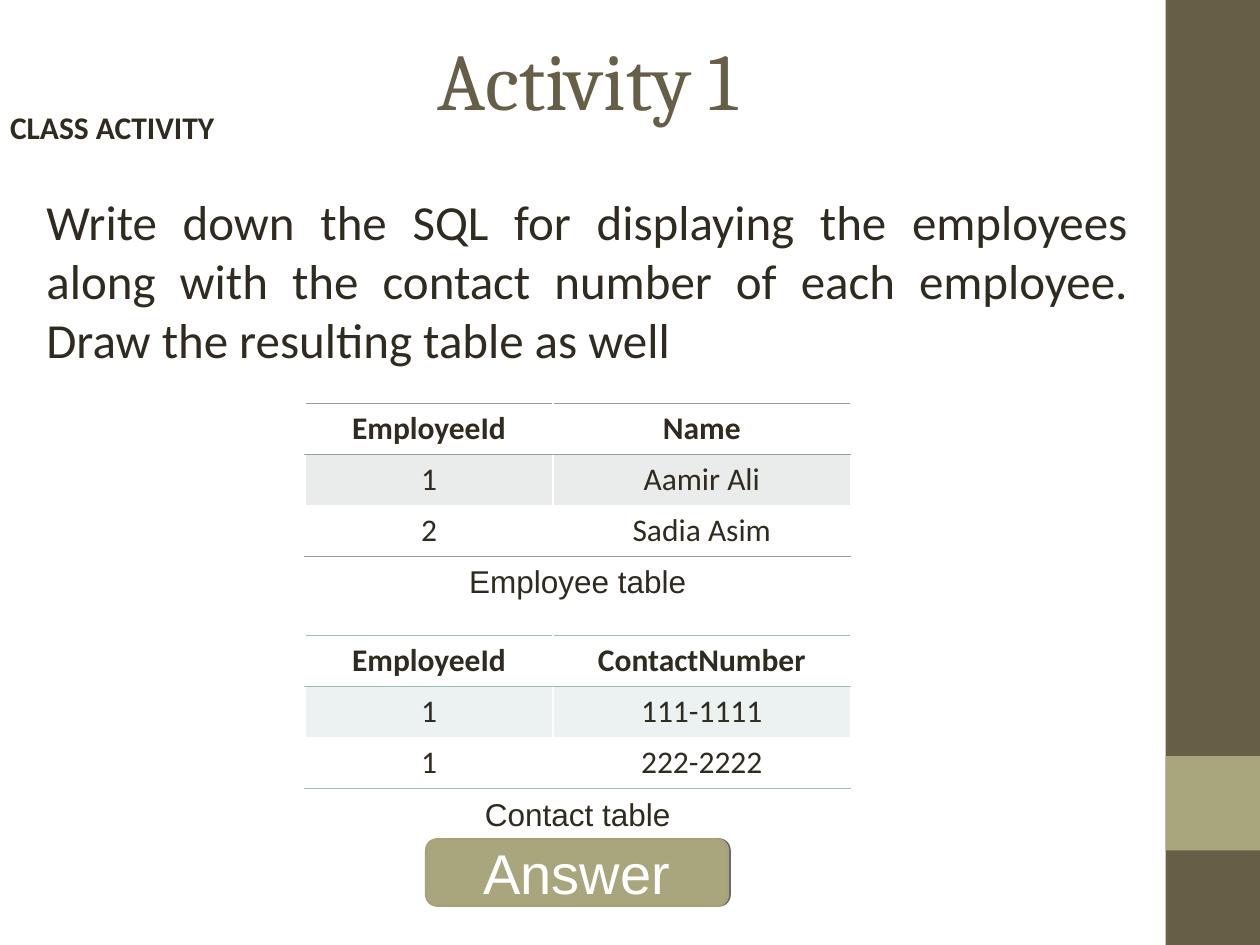
import lxml.etree
import pptx
import pptx.dml.color
import pptx.enum.shapes
import pptx.enum.text
import pptx.oxml.ns
import pptx.util
from pptx.util import Inches

RGBColor = pptx.dml.color.RGBColor
Shape = pptx.enum.shapes.MSO_SHAPE
Align = pptx.enum.text.PP_ALIGN
Anchor = pptx.enum.text.MSO_ANCHOR

BROWN = RGBColor(0x67, 0x5E, 0x47)
KHAKI = RGBColor(0xA9, 0xA5, 0x7C)
KHAKI_EDGE = RGBColor(0xA6, 0xA2, 0x78)
INK = RGBColor(0x2F, 0x2B, 0x20)
WHITE = RGBColor(0xFF, 0xFF, 0xFF)
BLACK = RGBColor(0, 0, 0)
SAGE = RGBColor(0x95, 0xA3, 0x9D)
TEAL = RGBColor(0x9C, 0xBE, 0xBD)


def add_child(parent, tag, **attributes):
    """Append a DrawingML element to parent and return it."""
    child = lxml.etree.SubElement(parent, pptx.oxml.ns.qn(tag))
    for name, value in attributes.items():
        child.set(name, str(value))
    return child


def add_color(parent, color, alpha=None):
    """Append an RGB colour, with an optional opacity in percent."""
    rgb = add_child(parent, "a:srgbClr", val=color)
    if alpha is not None:
        add_child(rgb, "a:alpha", val=alpha * 1000)


def style_text(paragraph, words, size, font, color, align, bold=False):
    """Write one paragraph in a single style."""
    paragraph.text = words
    paragraph.alignment = align
    paragraph.font.size = pptx.util.Pt(size)
    paragraph.font.name = font
    paragraph.font.color.rgb = color
    paragraph.font.bold = bold


def add_text(slide, box, words, size, font, color=INK, align=Align.CENTER, bold=False):
    """Add a wrapping text box and return its frame."""
    frame = slide.shapes.add_textbox(*map(Inches, box)).text_frame
    frame.word_wrap = True
    style_text(frame.paragraphs[0], words, size, font, color, align, bold)
    return frame


def add_block(slide, kind, box, color):
    """Add a filled shape without line or shadow."""
    block = slide.shapes.add_shape(kind, *map(Inches, box))
    block.fill.solid()
    block.fill.fore_color.rgb = color
    block.line.fill.background()
    block.shadow.inherit = False
    return block


def add_button(slide, box, words):
    """Add a rounded button with a thin hard shadow on its right."""
    button = add_block(slide, Shape.ROUNDED_RECTANGLE, box, KHAKI)
    button.line.color.rgb = KHAKI_EDGE
    button.line.width = pptx.util.Pt(1)
    effects = button._element.spPr.find(pptx.oxml.ns.qn("a:effectLst"))
    shadow = add_child(effects, "a:outerShdw", blurRad=0, dist=pptx.util.Pt(1), dir=0)
    add_color(shadow, BLACK, 60)
    button.text_frame.vertical_anchor = Anchor.MIDDLE
    style_text(button.text_frame.paragraphs[0], words, 32, "Arial", WHITE, Align.CENTER)


def style_cell(cell, sides, accent, tinted):
    """Rule the given sides of a cell and tint it if asked."""
    properties = cell._tc.get_or_add_tcPr()
    for side in sides:
        rule = add_child(properties, side, w=pptx.util.Pt(0.45))
        add_color(add_child(rule, "a:solidFill"), accent)
    if tinted:
        add_color(add_child(properties, "a:solidFill"), accent, 20)
    else:
        cell.fill.background()


def add_data_table(slide, top, rows, accent):
    """Add a ruled two-column table with a bold header and a tinted first row."""
    table = slide.shapes.add_table(
        len(rows), 2, Inches(2.42), Inches(top), Inches(4.33), Inches(1.22)).table
    table.first_row = table.horz_banding = False
    for column, width in zip(table.columns, (1.97, 2.36)):
        column.width = Inches(width)
    row_sides = (("a:lnT", "a:lnB"), ("a:lnT",), ("a:lnB",))
    for r, (values, sides) in enumerate(zip(rows, row_sides)):
        for c, value in enumerate(values):
            cell = table.cell(r, c)
            style_text(cell.text_frame.paragraphs[0], value, 18, "Calibri", INK,
                       Align.CENTER, bold=r == 0)
            style_cell(cell, sides, accent, tinted=r == 1)


def main():
    """Build the class activity slide."""
    deck = pptx.Presentation()
    deck.slide_width, deck.slide_height = Inches(10), Inches(7.5)
    slide = deck.slides.add_slide(deck.slide_layouts[6])

    add_block(slide, Shape.RECTANGLE, (9.25, 0, 0.75, 7.5), BROWN)
    add_block(slide, Shape.RECTANGLE, (9.25, 6, 0.75, 0.75), KHAKI)

    title = add_text(slide, (0.5, 0, 8.33, 1.25), "Activity 1", 46, "Cambria", BROWN)
    title.vertical_anchor = Anchor.MIDDLE

    label = add_text(slide, (0, 0.91, 8.94, 0.35), "CLASS ACTIVITY", 18, "Calibri",
                     align=Align.LEFT, bold=True)
    label.margin_left = label.margin_right = Inches(0.08)
    label.margin_top = label.margin_bottom = 0
    label.paragraphs[0].line_spacing = pptx.util.Pt(18)

    add_text(slide, (0.27, 1.47, 8.78, 5.35),
             "Write down the SQL for displaying the employees along with the contact "
             "number of each employee. Draw the resulting table as well",
             28, "Calibri", align=Align.JUSTIFY)

    employees = (("EmployeeId", "Name"), ("1", "Aamir Ali"), ("2", "Sadia Asim"))
    contacts = (("EmployeeId", "ContactNumber"), ("1", "111-1111"), ("1", "222-2222"))
    add_data_table(slide, 3.2, employees, SAGE)
    add_data_table(slide, 5.04, contacts, TEAL)
    for top, caption in ((4.41, "Employee table"), (6.26, "Contact table")):
        add_text(slide, (3.52, top, 2.13, 0.4), caption, 18, "Arial")

    add_button(slide, (3.38, 6.66, 2.4, 0.53), "Answer")
    deck.save("out.pptx")


if __name__ == "__main__":
    main()
